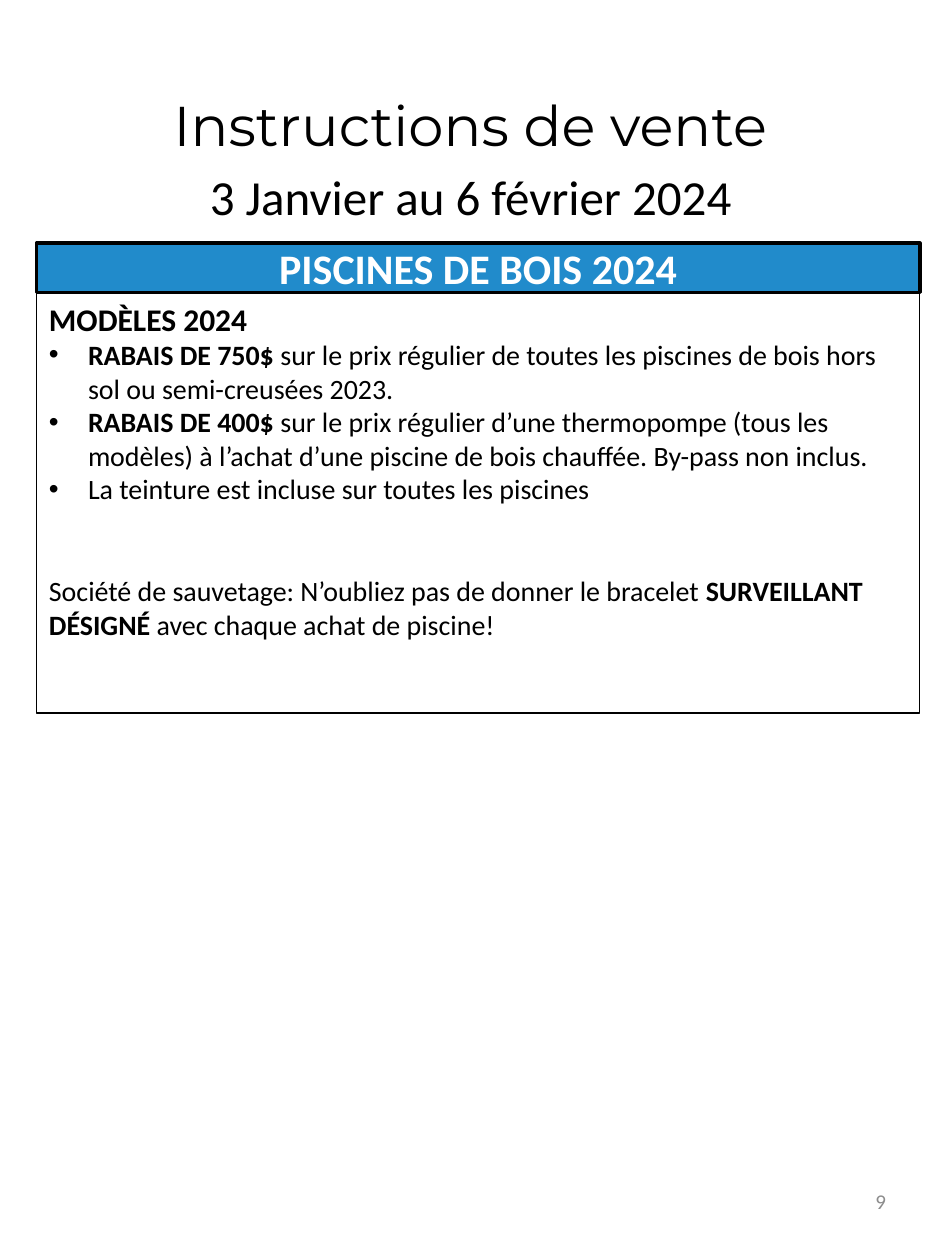
import pptx
import pptx.util
import pptx.dml.color
import pptx.enum.shapes
import pptx.enum.text
import pptx.oxml.ns
from lxml import etree

Pt = pptx.util.Pt
Inches = pptx.util.Inches
RGB = pptx.dml.color.RGBColor
ALIGN = pptx.enum.text.PP_ALIGN
ANCHOR = pptx.enum.text.MSO_ANCHOR

BLACK = RGB(0x00, 0x00, 0x00)
WHITE = RGB(0xFF, 0xFF, 0xFF)
BLUE = RGB(0x21, 0x8B, 0xCB)
GREY = RGB(0x8C, 0x8C, 0x8C)
LEFT, WIDTH = 0.29, 7.01
INDENT = 0.31

OFFER = [
    (18, False, 0, [("MODÈLES 2024", True)]),
    (16, True, 0, [("RABAIS DE 750$ ", True),
                   ("sur le prix régulier de toutes les piscines de bois hors sol ou semi-creusées 2023.", False)]),
    (16, True, 0, [("RABAIS DE 400$", True),
                   (" sur le prix régulier d’une thermopompe (tous les modèles) à l’achat "
                    "d’une piscine de bois chauffée. By-pass non inclus.", False)]),
    (16, True, 0, [("La teinture est incluse sur toutes les piscines", False)]),
    (16, False, 39, [("Société de sauvetage: N’oubliez pas de donner le bracelet ", False),
                     ("SURVEILLANT DÉSIGNÉ", True),
                     (" avec chaque achat de piscine!", False)]),
]


def style(r, size, color=BLACK, bold=False, name="Calibri"):
    """Set the font of a run."""
    r.font.name = name
    r.font.size = Pt(size)
    r.font.bold = bold
    r.font.color.rgb = color


def add_line(p, text, size, align, color=BLACK, bold=False, name="Calibri"):
    """Fill a paragraph with one styled run."""
    p.text = text
    p.alignment = align
    style(p.runs[0], size, color, bold, name)


def add_bullet(p):
    """Give a paragraph a hanging round bullet."""
    pPr = p._p.get_or_add_pPr()
    pPr.set("marL", str(Inches(INDENT)))
    pPr.set("indent", str(-Inches(INDENT)))
    qn = pptx.oxml.ns.qn
    etree.SubElement(pPr, qn("a:buFont"), typeface="Arial")
    etree.SubElement(pPr, qn("a:buChar"), char="•")


def add_box(s, top, height, line_width, anchor, fill=None):
    """Add a bordered rectangle across the content column."""
    sp = s.shapes.add_shape(pptx.enum.shapes.MSO_SHAPE.RECTANGLE,
                            Inches(LEFT), Inches(top), Inches(WIDTH), Inches(height))
    sp.shadow.inherit = False
    if fill is None:
        sp.fill.background()
    else:
        sp.fill.solid()
        sp.fill.fore_color.rgb = fill
    sp.line.color.rgb = BLACK
    sp.line.width = Pt(line_width)
    sp.text_frame.word_wrap = True
    sp.text_frame.vertical_anchor = anchor
    return sp.text_frame


def set_title(s):
    """Place the title and its date line."""
    sp = s.shapes.title
    sp.left, sp.top, sp.width, sp.height = map(Inches, (0.36, 0.59, 6.75, 1.18))
    tf = sp.text_frame
    tf.auto_size = pptx.enum.text.MSO_AUTO_SIZE.NONE
    tf.vertical_anchor = ANCHOR.TOP
    tf.text = "Instructions de vente\n3 Janvier au 6 février 2024"
    for p, size, name in zip(tf.paragraphs, (32, 28), ("Montserrat", "Calibri")):
        p.alignment = ALIGN.CENTER
        p.line_spacing = 1.15
        style(p.runs[0], size, name=name)


def add_offer(s):
    """Add the box that lists the offer."""
    tf = add_box(s, 2.33, 3.33, 0.75, ANCHOR.TOP)
    for i, (size, bullet, before, parts) in enumerate(OFFER):
        p = tf.add_paragraph() if i else tf.paragraphs[0]
        p.alignment = ALIGN.LEFT
        if before:
            p.space_before = Pt(before)
        if bullet:
            add_bullet(p)
        for text, bold in parts:
            r = p.add_run()
            r.text = text
            style(r, size, bold=bold)


def add_page_number(s, text):
    """Add the page number at the lower right."""
    tf = s.shapes.add_textbox(*map(Inches, (5.38, 9.27, 1.75, 0.53))).text_frame
    tf.word_wrap = True
    tf.vertical_anchor = ANCHOR.MIDDLE
    add_line(tf.paragraphs[0], text, 12, ALIGN.RIGHT, GREY)


def main():
    """Build the slide and save it."""
    prs = pptx.Presentation()
    prs.slide_width, prs.slide_height = Inches(7.5), Inches(10)
    s = prs.slides.add_slide(prs.slide_layouts[5])
    set_title(s)
    add_offer(s)
    banner = add_box(s, 1.93, 0.39, 2, ANCHOR.MIDDLE, BLUE)
    add_line(banner.paragraphs[0], "PISCINES DE BOIS 2024", 24, ALIGN.CENTER, WHITE, True)
    add_page_number(s, "9")
    prs.save("out.pptx")


if __name__ == "__main__":
    main()
